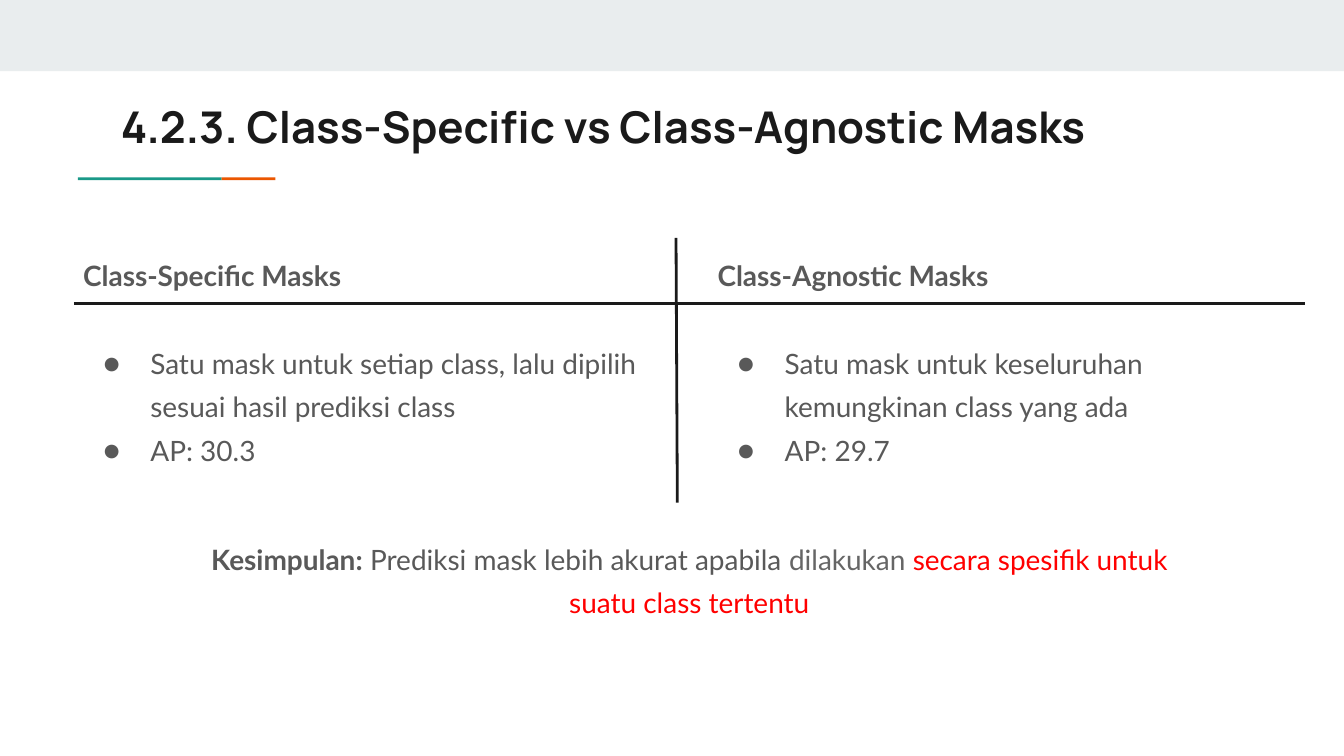
from lxml import etree
from pptx import Presentation
from pptx.dml.color import RGBColor
from pptx.enum.shapes import MSO_CONNECTOR, MSO_SHAPE
from pptx.enum.text import MSO_ANCHOR, MSO_AUTO_SIZE, PP_ALIGN
from pptx.oxml.ns import qn
from pptx.util import Inches, Pt

RECT = MSO_SHAPE.RECTANGLE
STRAIGHT = MSO_CONNECTOR.STRAIGHT
TOP = MSO_ANCHOR.TOP
NO_FIT = MSO_AUTO_SIZE.NONE
LEFT, CENTER = PP_ALIGN.LEFT, PP_ALIGN.CENTER

BAND = RGBColor(0xE9, 0xED, 0xEE)
TEAL = RGBColor(0x1A, 0x99, 0x88)
ORANGE = RGBColor(0xEB, 0x56, 0x00)
INK = RGBColor(0x1A, 0x1A, 0x1A)
GRAY = RGBColor(0x59, 0x59, 0x59)
LIGHT_GRAY = RGBColor(0x66, 0x66, 0x66)
RED = RGBColor(0xFF, 0x00, 0x00)


def set_frame(sp, x, y, w, h):
    sp.left, sp.top, sp.width, sp.height = Inches(x), Inches(y), Inches(w), Inches(h)
    tf = sp.text_frame
    tf.word_wrap = True
    tf.auto_size = NO_FIT
    tf.vertical_anchor = TOP
    tf.margin_left = tf.margin_right = tf.margin_top = tf.margin_bottom = Inches(0.1)
    return tf


def style_body(p):
    p.line_spacing = 1.3
    p.font.name = "Lato"
    p.font.size = Pt(15)
    p.font.color.rgb = GRAY


prs = Presentation()
prs.slide_width = Inches(10)
prs.slide_height = Inches(10) * 9 // 16
s = prs.slides.add_slide(prs.slide_layouts[5])

for x, y, w, h, color in [
    (0, 0, 10, 0.53, BAND),
    (0.58, 1.32, 1.07, 0.02, TEAL),
    (1.65, 1.32, 0.4, 0.02, ORANGE),
]:
    sp = s.shapes.add_shape(RECT, Inches(x), Inches(y), Inches(w), Inches(h))
    sp.shadow.inherit = False
    sp.fill.solid()
    sp.fill.fore_color.rgb = color
    sp.line.fill.background()

tf = set_frame(s.shapes.title, 0.8, 0.64, 8.41, 0.59)
tf.text = "4.2.3. Class-Specific vs Class-Agnostic Masks"
p = tf.paragraphs[0]
p.alignment = LEFT
p.font.name = "Manrope"
p.font.size = Pt(23.4)
p.font.bold = True
p.font.color.rgb = INK

columns = [
    (0.52, 4.51, "Class-Specific Masks",
     ["Satu mask untuk setiap class, lalu dipilih sesuai hasil prediksi class", "AP: 30.3"]),
    (5.24, 4.42, "Class-Agnostic Masks",
     ["Satu mask untuk keseluruhan kemungkinan class yang ada", "AP: 29.7"]),
]
for x, w, heading, bullets in columns:
    tf = set_frame(s.shapes.add_textbox(0, 0, 0, 0), x, 1.75, w, 3.05)
    tf.text = heading
    p = tf.paragraphs[0]
    style_body(p)
    p.font.bold = True
    for i, bullet in enumerate(bullets):
        p = tf.add_paragraph()
        p.text = bullet
        style_body(p)
        if i == 0:
            p.space_before = Pt(23.4)
        pPr = p._p.get_or_add_pPr()
        pPr.set("marL", str(Inches(0.5)))
        pPr.set("indent", str(Inches(-0.35)))
        defaults = pPr.find(qn("a:defRPr"))
        for tag, name, value in [
            ("a:buSzPts", "val", "1500"),
            ("a:buFont", "typeface", "Lato"),
            ("a:buChar", "char", "●"),
        ]:
            defaults.addprevious(etree.Element(qn(tag), {name: value}))

for x1, y1, x2, y2 in [(0.55, 2.26, 9.71, 2.26), (5.03, 1.77, 5.04, 3.74)]:
    line = s.shapes.add_connector(STRAIGHT, Inches(x1), Inches(y1), Inches(x2), Inches(y2))
    line.line.color.rgb = INK
    line.line.width = Pt(1.5)
    etree.SubElement(line._element.spPr, qn("a:effectLst"))

tf = set_frame(s.shapes.add_textbox(0, 0, 0, 0), 1.28, 3.86, 7.7, 0.79)
p = tf.paragraphs[0]
style_body(p)
p.alignment = CENTER
for text, color, bold in [
    ("Kesimpulan:", GRAY, True),
    (" Prediksi mask lebih akurat apabila ", GRAY, False),
    ("dilakukan ", LIGHT_GRAY, False),
    ("secara spesifik untuk suatu class tertentu", RED, False),
]:
    r = p.add_run()
    r.text = text
    r.font.bold = bold
    r.font.color.rgb = color

prs.save("out.pptx")
